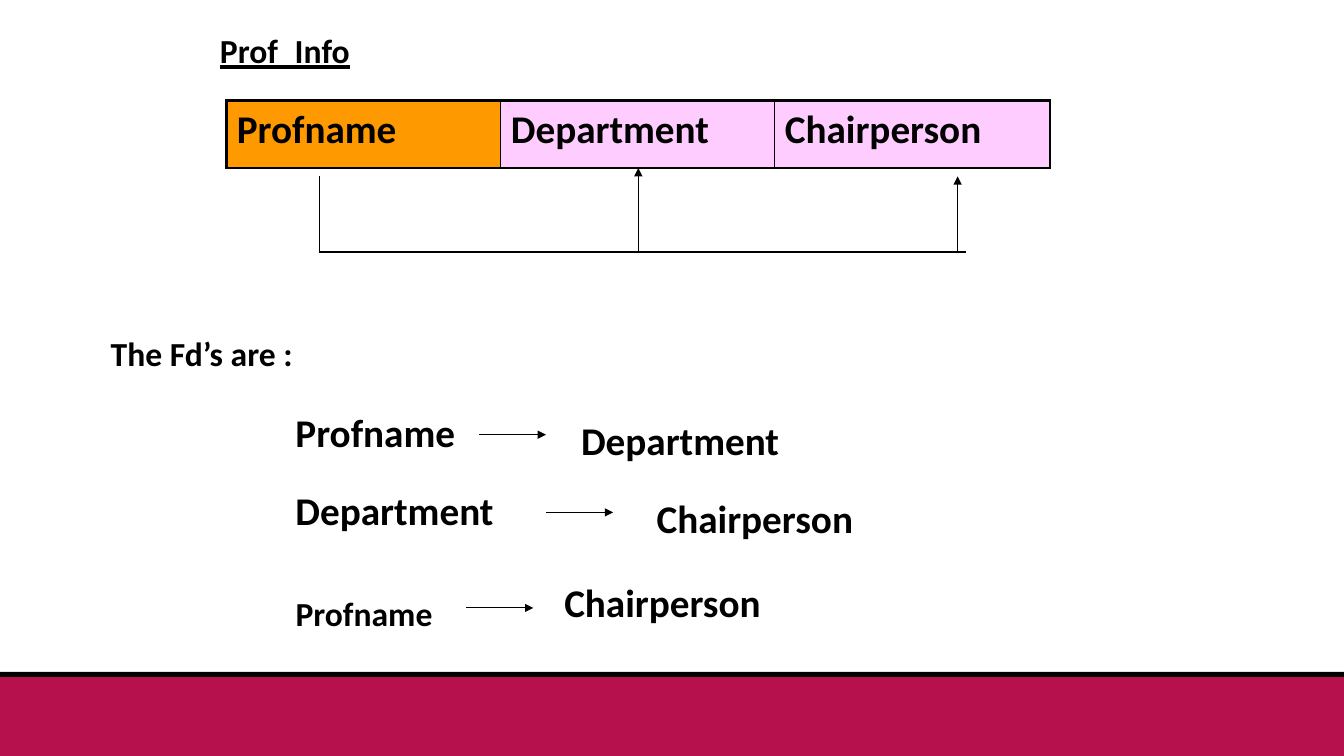
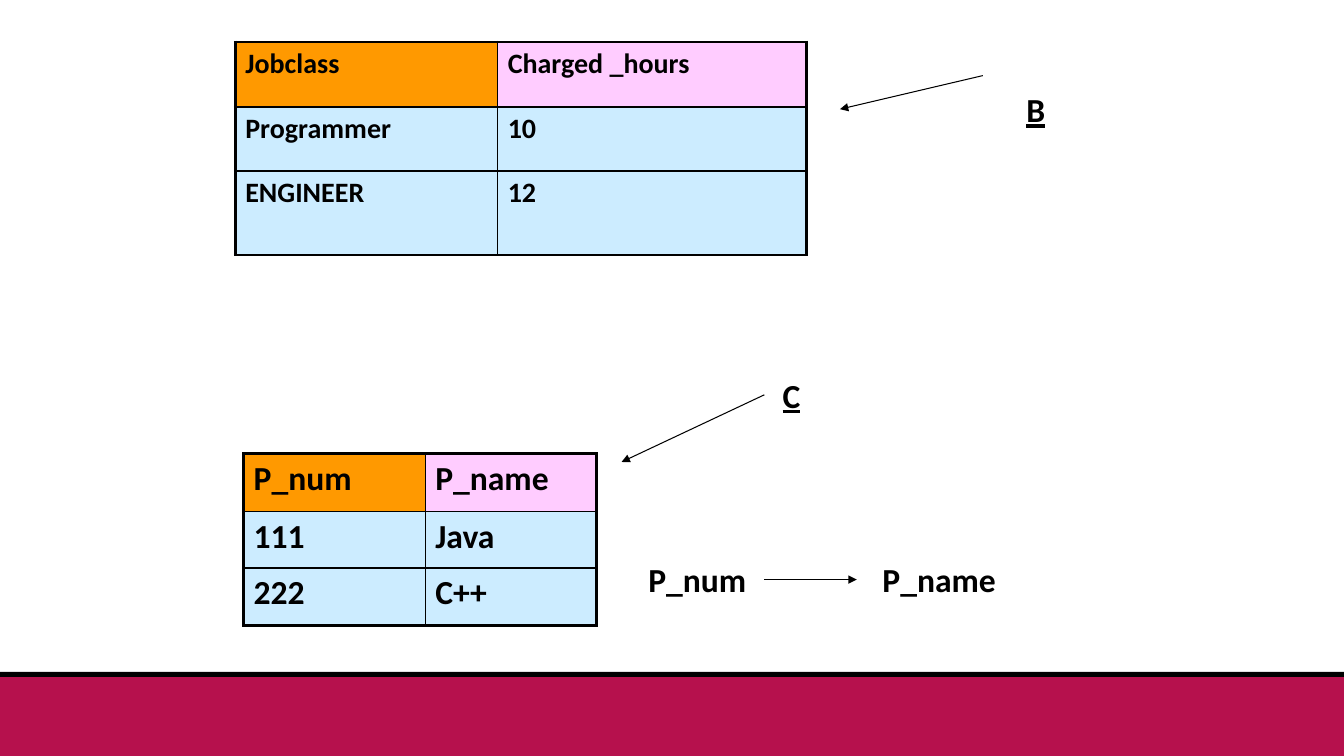
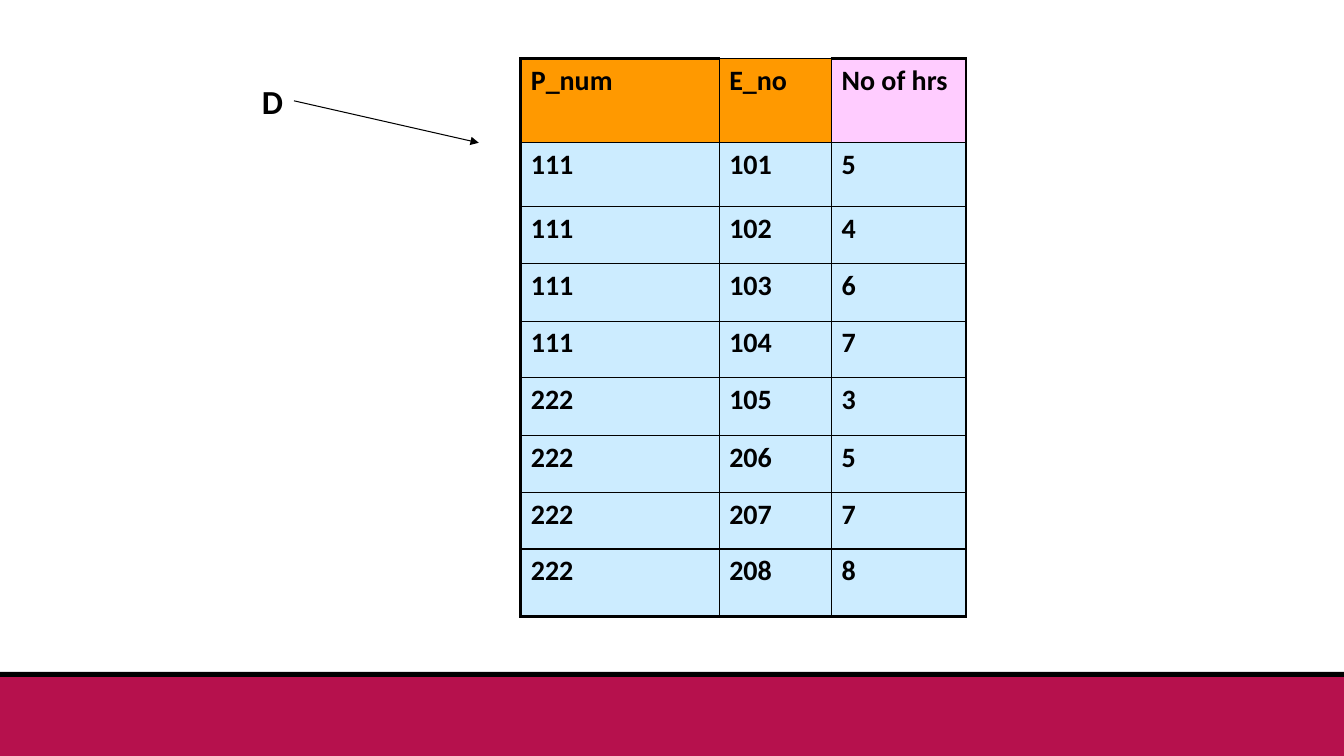
from pptx import Presentation
from pptx.dml.color import RGBColor as RGB
from pptx.enum.shapes import MSO_CONNECTOR as CONN, MSO_SHAPE as SHAPE
from pptx.oxml import parse_xml
from pptx.oxml.ns import nsdecls
from pptx.util import Pt

PX = 9525
W, H = 1280, 720
FONT = "Calibri"
COLORS = {
    "ink": "000000",
    "band": "B6114D",
    "key": "FF9900",
    "field": "FFCCFF",
    "data": "CCECFF",
}


def emu(*lengths):
    return [n * PX for n in lengths]


def color(name):
    return RGB.from_string(COLORS[name])


def style(p, size, underline=None):
    p.font.name = FONT
    p.font.size = Pt(size)
    p.font.bold = True
    p.font.underline = underline
    p.font.color.rgb = color("ink")


def add_label(s, box, text, size=24, underline=None):
    tf = s.shapes.add_textbox(*emu(*box)).text_frame
    tf.word_wrap = True
    p = tf.paragraphs[0]
    p.text = text
    style(p, size, underline)


def add_line(s, start, end, arrow=True):
    line = s.shapes.add_connector(CONN.STRAIGHT, *emu(*start, *end))
    line.line.color.rgb = color("ink")
    line.line.width = Pt(0.75)
    if arrow:
        line.line._get_or_add_ln().append(
            parse_xml(f'<a:tailEnd {nsdecls("a")} type="triangle"/>'))
    line.element.spPr.append(parse_xml(f'<a:effectLst {nsdecls("a")}/>'))


def add_footer(s, layout):
    tree = layout.shapes.element
    for name, top in (("ink", 640), ("band", 645)):
        bar = s.shapes.add_shape(SHAPE.RECTANGLE, *emu(0, top, W, H - top))
        bar.shadow.inherit = False
        bar.fill.solid()
        bar.fill.fore_color.rgb = color(name)
        bar.line.fill.background()
        tree.insert_element_before(bar.element, "p:extLst")


def set_borders(cell, widths):
    tcPr = cell._tc.get_or_add_tcPr()
    for i, (side, width) in enumerate(zip("LRTB", widths)):
        tcPr.insert(i, parse_xml(
            f'<a:ln{side} {nsdecls("a")} w="{Pt(width)}"><a:solidFill>'
            f'<a:srgbClr val="{COLORS["ink"]}"/></a:solidFill></a:ln{side}>'))


def add_grid(s, x, y, cols, heights, rows, size, keys=1, thin_top=()):
    n_rows, n_cols = len(heights), len(cols)
    box = emu(x, y, sum(cols), sum(heights))
    table = s.shapes.add_table(n_rows, n_cols, *box).table
    for col, width in zip(table.columns, cols):
        col.width = width * PX
    for row, height in zip(table.rows, heights):
        row.height = height * PX
    for i, values in enumerate(rows):
        for j, value in enumerate(values):
            cell = table.cell(i, j)
            cell.text = value
            style(cell.text_frame.paragraphs[0], size)
            cell.fill.solid()
            fill = "data" if i else "key" if j < keys else "field"
            cell.fill.fore_color.rgb = color(fill)
            outer = (j == 0, j == n_cols - 1,
                     i == 0 and j not in thin_top, i == n_rows - 1)
            set_borders(cell, [2.25 if edge else 1 for edge in outer])


def add_dependency(s, x, y, left, right, arrow, offset, sizes=(28, 28)):
    dx, dy, length = arrow
    add_label(s, (x, y, dx, 55), left, sizes[0])
    add_line(s, (x + dx, y + dy), (x + dx + length, y + dy))
    add_label(s, (x + offset[0], y + offset[1], 213, 55), right, sizes[1])


def add_prof_diagram(s, x, y):
    add_label(s, (x - 16, y - 72, 256, 48), "Prof_Info", underline=True)
    add_grid(s, x, y, [261, 261, 262], [64],
             [["Profname", "Department", "Chairperson"]], 28)
    base = y + 144
    add_line(s, (x + 88, y + 72), (x + 88, base), arrow=False)
    add_line(s, (x + 88, base), (x + 704, base), arrow=False)
    add_line(s, (x + 696, base), (x + 696, y + 72))
    add_line(s, (x + 392, base), (x + 392, y + 64))


def prof_slide(s):
    add_prof_diagram(s, 216, 96)
    add_label(s, (96, 312, 432, 48), "The Fd’s are :")
    add_dependency(s, 272, 384, "Profname", "Department",
                   (184, 30, 64), (272, 8))
    add_dependency(s, 272, 458, "Department", "Chairperson",
                   (248, 30, 64), (344, 8))
    add_dependency(s, 272, 560, "Profname", "Chairperson",
                   (172, 19, 64), (256, -14), (24, 28))


def job_project_slide(s):
    add_grid(s, 224, 40, [250, 294], [62, 61, 80],
             [["Jobclass", "Charged _hours"],
              ["Programmer", "10"],
              ["ENGINEER", "12"]], 20)
    add_label(s, (968, 80, 104, 48), "B", underline=True)
    add_line(s, (936, 72), (800, 104))
    add_grid(s, 232, 432, [173, 163], [55, 54, 55],
             [["P_num", "P_name"], ["111", "Java"], ["222", "C++"]], 24)
    add_label(s, (736, 352, 72, 48), "C", underline=True)
    add_line(s, (728, 376), (592, 440))
    add_dependency(s, 608, 528, "P_num", "P_name",
                   (120, 24, 88), (223, 0), (24, 24))


def hours_slide(s):
    add_grid(s, 496, 56, [189, 107, 128],
             [80, 61, 54, 55, 54, 55, 54, 54, 64],
             [["P_num", "E_no", "No of hrs"],
              ["111", "101", "5"],
              ["111", "102", "4"],
              ["111", "103", "6"],
              ["111", "104", "7"],
              ["222", "105", "3"],
              ["222", "206", "5"],
              ["222", "207", "7"],
              ["222", "208", "8"]], 20, keys=2, thin_top=(1,))
    add_label(s, (240, 72, 152, 48), "D")
    add_line(s, (280, 96), (456, 136))


def main():
    prs = Presentation()
    prs.slide_width, prs.slide_height = emu(W, H)
    layout = prs.slide_layouts[6]
    for i, build in enumerate((prof_slide, job_project_slide, hours_slide)):
        s = prs.slides.add_slide(layout)
        if i == 0:
            add_footer(s, layout)
        build(s)
    prs.save("out.pptx")


if __name__ == "__main__":
    main()
